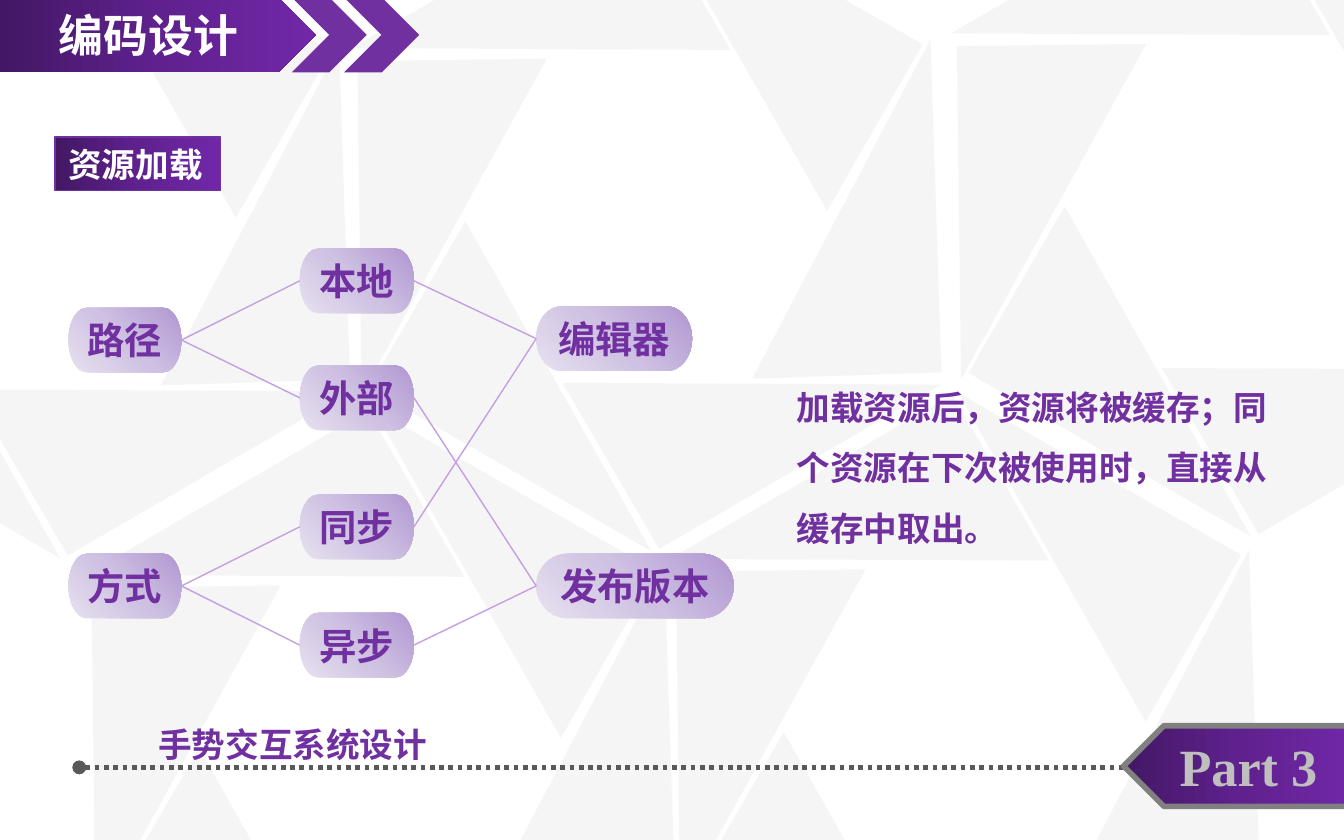
from lxml.etree import SubElement
from pptx import Presentation
from pptx.dml.color import RGBColor
from pptx.enum.dml import MSO_LINE
from pptx.enum.shapes import MSO_CONNECTOR, MSO_SHAPE
from pptx.enum.text import MSO_ANCHOR, PP_ALIGN
from pptx.oxml import parse_xml
from pptx.oxml.ns import nsdecls, qn
from pptx.util import Inches, Pt

PURPLE = "7030A0"
BANNER_STOPS = ("431764", "5F218E", "7128A8")
NODE_STOPS = ("B197D2", "CEC1E2", "E7E1F0")
CJK_FONT = "Noto Sans CJK SC"

# Left and top offset, width, height and rotation of each triangle in a rosette
ROSETTE = [
    (0, 0, 2.43, 1.43, 149.8),
    (-0.67, 1.33, 2.48, 1.41, 89.3),
    (0.13, 2.51, 2.43, 1.43, 30.1),
    (1.57, 2.49, 2.43, 1.43, 329.8),
    (2.21, 1.2, 2.48, 1.41, 268.1),
    (1.43, -0.02, 2.43, 1.43, 209.8),
]
ROSETTE_ORIGINS = [(0.83, 3.57), (5.18, 3.45), (2.81, -0.35), (7.27, -0.46), (-1.59, -0.3)]

NODE_HEIGHT = 0.48
# Label: left, top, width
NODES = {
    "路径": (0.51, 2.29, 0.84),
    "方式": (0.51, 4.12, 0.84),
    "本地": (2.23, 1.85, 0.85),
    "外部": (2.23, 2.72, 0.85),
    "同步": (2.23, 3.68, 0.85),
    "异步": (2.23, 4.56, 0.85),
    "编辑器": (3.99, 2.28, 1.16),
    "发布版本": (3.99, 4.12, 1.47),
}
LINKS = [
    ("路径", "本地"), ("路径", "外部"), ("方式", "同步"), ("方式", "异步"),
    ("本地", "编辑器"), ("外部", "发布版本"), ("同步", "编辑器"), ("异步", "发布版本"),
]


def color(value):
    return RGBColor.from_string(value)


def box_lengths(box):
    return [Inches(value) for value in box]


def set_gradient(shape, stops, direction):
    """Replace the fill by evenly spaced stops; direction is a:lin or a:path XML."""
    shape.fill.background()
    old_fill = shape._element.spPr.find(qn("a:noFill"))
    step = 100000 // (len(stops) - 1)
    stop_xml = "".join(
        f'<a:gs pos="{index * step}"><a:srgbClr val="{stop}"/></a:gs>'
        for index, stop in enumerate(stops)
    )
    gradient = parse_xml(
        f'<a:gradFill {nsdecls("a")} rotWithShape="1">'
        f"<a:gsLst>{stop_xml}</a:gsLst>{direction}</a:gradFill>"
    )
    old_fill.getparent().replace(old_fill, gradient)


def set_linear_gradient(shape, angle=0):
    set_gradient(shape, BANNER_STOPS, f'<a:lin ang="{angle * 60000}" scaled="0"/>')


def add_shape(slide, kind, box, fill=None):
    shape = slide.shapes.add_shape(kind, *box_lengths(box))
    shape.shadow.inherit = False
    shape.line.fill.background()
    if fill:
        shape.fill.solid()
        shape.fill.fore_color.rgb = color(fill)
    return shape


def add_line(slide, start, end, line_color, width):
    line = slide.shapes.add_connector(
        MSO_CONNECTOR.STRAIGHT, *box_lengths(start + end)
    )
    line.line.color.rgb = color(line_color)
    line.line.width = Pt(width)
    SubElement(line._element.spPr, qn("a:effectLst"))
    return line


def write(shape, text, size, text_color, align=PP_ALIGN.LEFT, font="Arial",
          anchor=MSO_ANCHOR.MIDDLE, wrap=True):
    frame = shape.text_frame
    frame.text = text
    frame.word_wrap = wrap
    frame.vertical_anchor = anchor
    paragraph = frame.paragraphs[0]
    paragraph.alignment = align
    run = paragraph.runs[0]
    run.font.size = Pt(size)
    run.font.bold = True
    run.font.name = font
    run.font.color.rgb = color(text_color)
    SubElement(run.font._element, qn("a:ea"), typeface=CJK_FONT)
    return paragraph


def add_text_box(slide, box, text, wrap=True):
    text_box = slide.shapes.add_textbox(*box_lengths(box))
    return write(text_box, text, 18, PURPLE, anchor=MSO_ANCHOR.TOP, wrap=wrap)


def add_background(slide):
    for left, top in ROSETTE_ORIGINS:
        for x, y, width, height, rotation in ROSETTE:
            if left + x < -2:
                continue
            triangle = add_shape(slide, MSO_SHAPE.RIGHT_TRIANGLE,
                                 (left + x, top + y, width, height), "BFBFBF")
            triangle.rotation = rotation
            fill_color = triangle._element.spPr.find(qn("a:solidFill"))[0]
            SubElement(fill_color, qn("a:alpha"), val="14000")


def add_header(slide, box):
    left, top, width, height = box
    for offset in (-0.18, 0.21):
        add_shape(slide, MSO_SHAPE.CHEVRON,
                  (left + width + offset, top, height, height), PURPLE)
    banner = add_shape(slide, MSO_SHAPE.PENTAGON, box)
    set_linear_gradient(banner)

    title = slide.shapes.title
    # The title ends halfway along the banner's point
    title.left, title.top, title.width, title.height = box_lengths(
        (left, top, width - height / 4, height))
    write(title, "编码设计", 24, "FFFFFF", PP_ALIGN.CENTER)
    slide.shapes._spTree.append(title._element)


def add_section_label(slide, box):
    label = add_shape(slide, MSO_SHAPE.FLOWCHART_PROCESS, box)
    set_linear_gradient(label)
    label.line.color.rgb = color(PURPLE)
    label.line.width = Pt(0.75)
    write(label, "资源加载", 18, "FFFFFF", wrap=False)


def add_diagram(slide):
    shapes = {}
    for label, (left, top, width) in NODES.items():
        node = add_shape(slide, MSO_SHAPE.FLOWCHART_TERMINATOR,
                         (left, top, width, NODE_HEIGHT))
        set_gradient(node, NODE_STOPS,
                     '<a:path path="circle"><a:fillToRect l="100000" b="100000"/></a:path>')
        write(node, label, 20, PURPLE, PP_ALIGN.CENTER, wrap=False)
        shapes[label] = node
    for source, target in LINKS:
        link = add_line(slide, (0, 0), (1, 1), "C59EE2", 0.75)
        link.begin_connect(shapes[source], 3)
        link.end_connect(shapes[target], 1)


def add_footer(slide, box):
    left, top, width, height = box
    middle = top + height / 2 + 0.01
    rule = add_line(slide, (0.59, middle), (9.25, middle), "595959", 2.5)
    rule.line.dash_style = MSO_LINE.ROUND_DOT
    line_xml = rule.line._get_or_add_ln()
    for end in ("a:headEnd", "a:tailEnd"):
        SubElement(line_xml, qn(end), type="oval")
    add_text_box(slide, (1.08, 5.34, 2.22, 0.4), "手势交互系统设计", wrap=False)

    tag = add_shape(slide, MSO_SHAPE.PENTAGON, box)
    tag._element.spPr.find(qn("a:xfrm")).set("flipH", "1")
    set_linear_gradient(tag, 180)
    tag.line.color.rgb = color("808080")
    tag.line.width = Pt(3)
    write(tag, "Part 3", 28, "BFBFBF", PP_ALIGN.CENTER, "Times New Roman")


def main():
    presentation = Presentation()
    presentation.slide_width = Inches(10)
    presentation.slide_height = Inches(6.25)
    slide = presentation.slides.add_slide(presentation.slide_layouts[5])

    add_background(slide)
    add_footer(slide, (8.36, 5.4, 1.71, 0.6))
    add_header(slide, (0, -0.02, 2.35, 0.56))
    add_section_label(slide, (0.41, 1.02, 1.23, 0.4))
    add_diagram(slide)
    explanation = add_text_box(
        slide, (5.83, 2.68, 3.9, 1.46),
        "加载资源后，资源将被缓存；同个资源在下次被使用时，直接从缓存中取出。")
    explanation.line_spacing = 1.5

    presentation.save("out.pptx")


if __name__ == "__main__":
    main()
